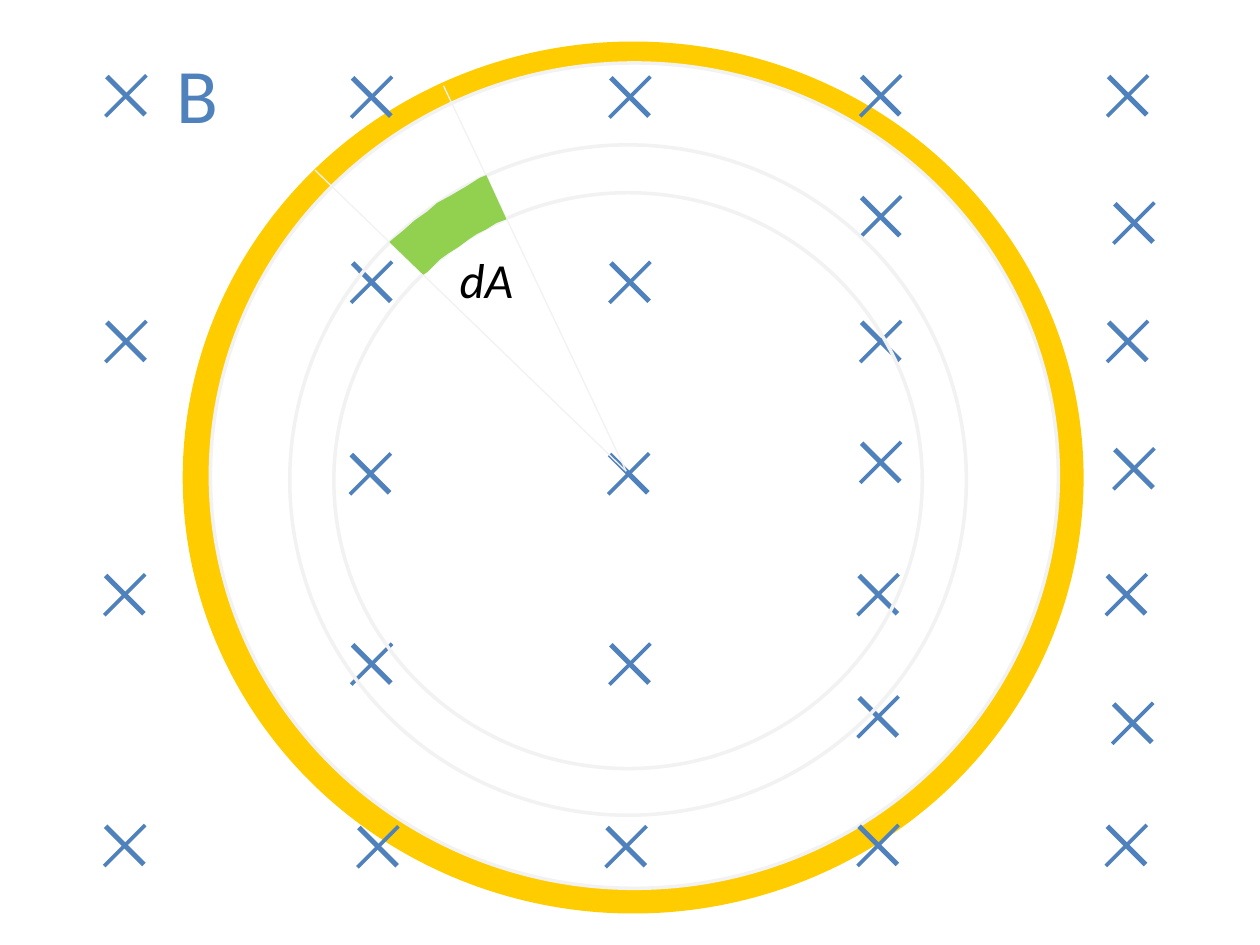
from lxml.etree import SubElement
from pptx import Presentation
from pptx.dml.color import RGBColor as Rgb
from pptx.enum.shapes import MSO_CONNECTOR as Conn, MSO_SHAPE as Kind
from pptx.enum.text import MSO_AUTO_SIZE as Fit
from pptx.oxml.ns import qn
from pptx.util import Inches, Pt

BLUE, GOLD, GREEN = "4F81BD", "FFCC00", "92D050"
WHITE, GRAY, BLACK = "FFFFFF", "F2F2F2", "000000"

# Field marks: centre x and y of each cross, column by column
MARKS = [
    [(1, 0.76), (1, 2.71), (0.99, 4.72), (0.99, 6.71)],
    [(2.95, 0.77), (2.95, 2.24), (2.94, 3.76), (2.95, 5.27), (3, 6.72)],
    [(5, 0.77), (5, 2.24), (4.99, 3.76), (5, 5.27), (4.97, 6.72)],
    [(6.99, 0.76), (6.99, 1.72), (6.99, 2.71), (6.99, 3.67),
     (6.97, 4.72), (6.97, 5.69), (6.97, 6.71)],
    [(8.95, 0.76), (9, 1.77), (8.95, 2.71), (9, 3.72),
     (8.94, 4.72), (8.99, 5.74), (8.94, 6.71)],
]
# Cross arms: length, width, turn
ARMS = [(0.43, 0.04, 45), (0.46, 0.03, 315)]

# Area element: outer arc, then inner arc back
PATCH = [
    (3.09, 1.92), (3.2, 1.83), (3.29, 1.75), (3.39, 1.68), (3.47, 1.61),
    (3.58, 1.55), (3.7, 1.48), (3.81, 1.41), (3.86, 1.39),
    (4.02, 1.74), (3.94, 1.77), (3.86, 1.82), (3.78, 1.86), (3.72, 1.9),
    (3.64, 1.96), (3.56, 2.01), (3.49, 2.06), (3.43, 2.12), (3.39, 2.16),
    (3.36, 2.18),
]


def color(code):
    return Rgb.from_string(code)


def paint(shape, fill=None, line=None):
    shape.shadow.inherit = False
    if fill:
        shape.fill.solid()
        shape.fill.fore_color.rgb = color(fill)
    else:
        shape.fill.background()
    if line:
        shape.line.color.rgb = color(line)
        shape.line.width = Pt(2)
    else:
        shape.line.fill.background()


def add_ring(slide, box, fill=None, line=None):
    ring = slide.shapes.add_shape(Kind.OVAL, *map(Inches, box))
    paint(ring, fill, line)


def add_cross(slide, x, y):
    group = slide.shapes.add_group_shape()
    for size, thick, turn in ARMS:
        box = (x - size / 2, y - thick / 2, size, thick)
        arm = group.shapes.add_shape(Kind.RECTANGLE, *map(Inches, box))
        arm.rotation = turn
        paint(arm, BLUE)


def add_ray(slide, start, end):
    ray = slide.shapes.add_connector(Conn.STRAIGHT, *map(Inches, start + end))
    ray.line.color.rgb = color(GRAY)
    ray.line.width = Pt(0.75)
    SubElement(ray.element.spPr, qn("a:effectLst"))


def add_patch(slide, points):
    path = [(Inches(x), Inches(y)) for x, y in points]
    build = slide.shapes.build_freeform(*path[0])
    build.add_line_segments(path[1:], close=True)
    paint(build.convert_to_shape(), GREEN)


def add_label(slide, box, text, size, code, italic=False):
    frame = slide.shapes.add_textbox(*map(Inches, box)).text_frame
    frame.word_wrap = False
    frame.auto_size = Fit.SHAPE_TO_FIT_TEXT
    para = frame.paragraphs[0]
    para.text = text
    font = para.font
    font.name, font.size, font.italic = "Calibri", Pt(size), italic
    font.color.rgb = color(code)


def main():
    deck = Presentation()
    deck.slide_width, deck.slide_height = Inches(10), Inches(7.5)
    slide = deck.slides.add_slide(deck.slide_layouts[6])

    # Gold loop
    add_ring(slide, (1.45, 0.33, 7.15, 6.92), fill=GOLD)
    add_ring(slide, (1.67, 0.5, 6.73, 6.55), fill=WHITE, line=GRAY)

    # Magnetic field into the page
    for column in MARKS:
        for x, y in column:
            add_cross(slide, x, y)
    add_label(slide, (1.3, 0.32, 0.54, 0.84), "B", 44, BLUE)

    # Sector rays and inner rings
    for end in [(2.5, 1.35), (3.52, 0.68)]:
        add_ray(slide, (4.97, 3.74), end)
    add_ring(slide, (2.3, 1.15, 5.37, 5.32), line=GRAY)
    add_ring(slide, (2.65, 1.53, 4.67, 4.57), line=GRAY)

    # Area element
    add_patch(slide, PATCH)
    add_label(slide, (3.55, 1.93, 0.64, 0.57), "dA", 28, BLACK, italic=True)

    deck.save("out.pptx")


if __name__ == "__main__":
    main()
